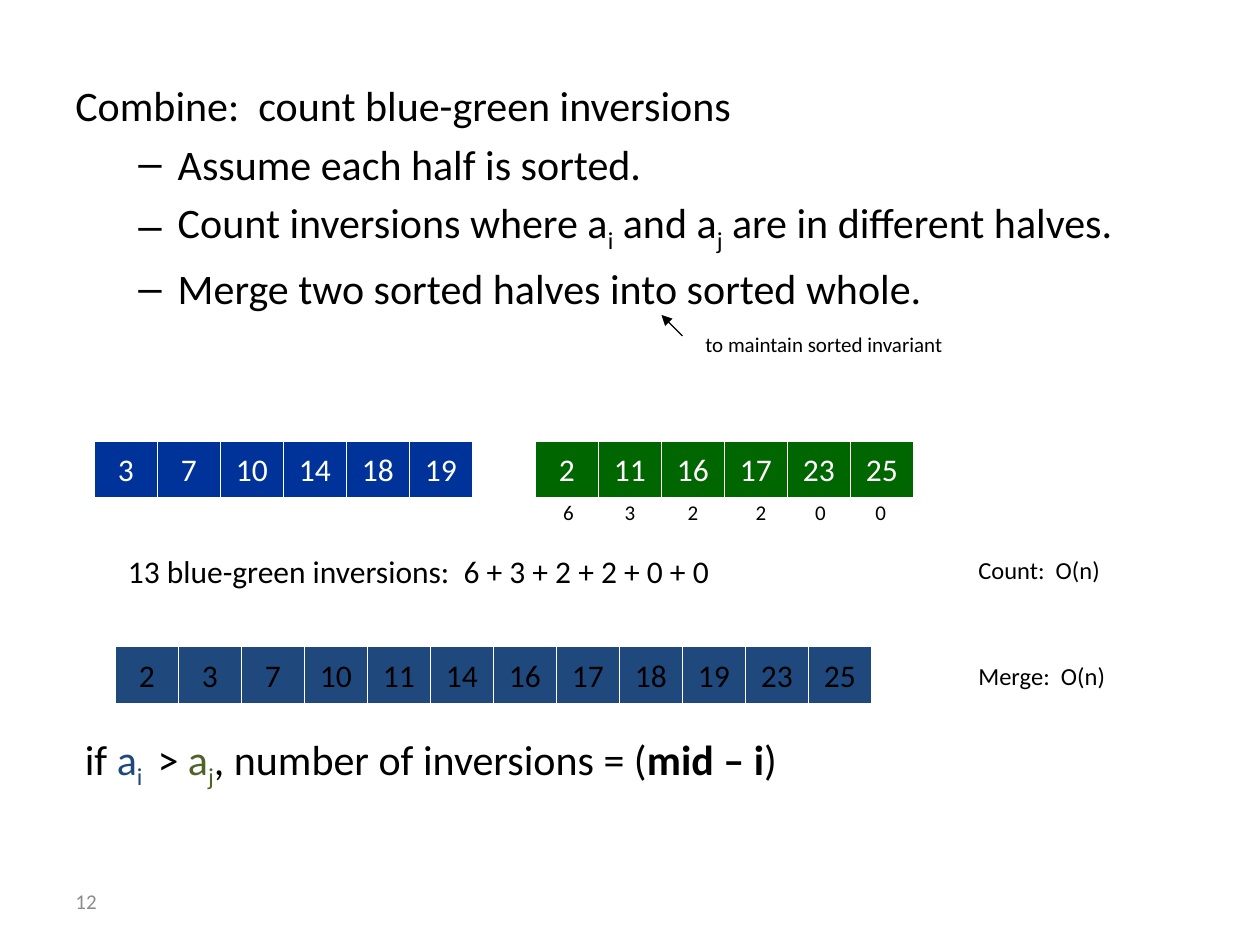
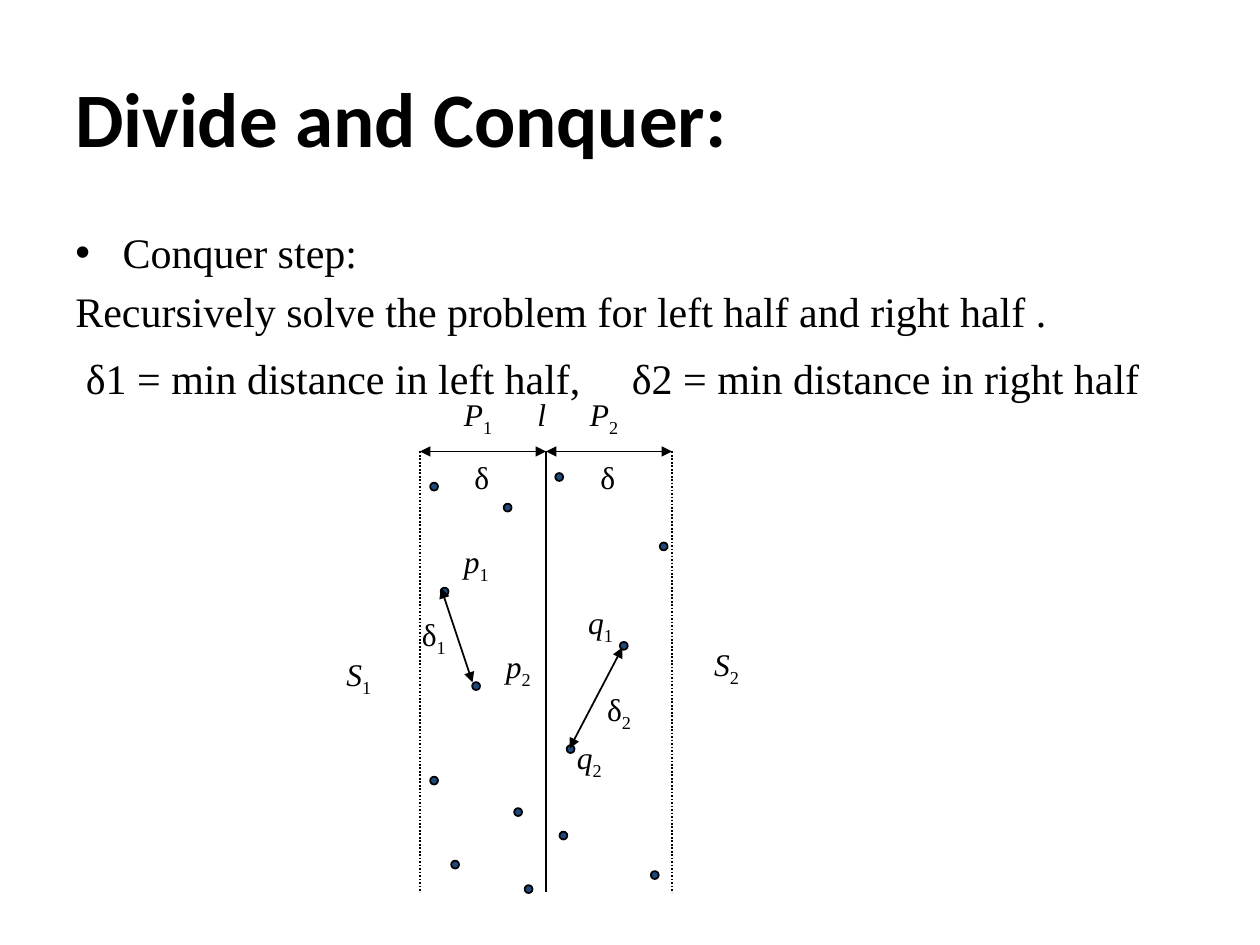
from lxml.etree import SubElement as Sub
from pptx import Presentation
from pptx.dml.color import RGBColor
from pptx.enum.dml import MSO_LINE as Dash
from pptx.enum.shapes import MSO_CONNECTOR as Conn, MSO_SHAPE as Kind
from pptx.enum.text import MSO_ANCHOR as Anchor, MSO_AUTO_SIZE as Auto, PP_ALIGN as Align
from pptx.oxml.ns import qn
from pptx.util import Pt

BLACK = RGBColor(0, 0, 0)
WHITE = RGBColor(255, 255, 255)
GRAY = RGBColor(0x8C, 0x8C, 0x8C)
BLUE = RGBColor(0x00, 0x33, 0x99)
GREEN = RGBColor(0x00, 0x66, 0x00)
NAVY = RGBColor(0x1F, 0x49, 0x7D)
OLIVE = RGBColor(0x4F, 0x62, 0x28)
SANS, SERIF = "Calibri", "Times New Roman"
LEFT, WIDE, GAP = 36, 648, 4.8
CELL, TALL, DOT = 36, 32.4, 4.5


def add_run(par, text, size, face=SANS, color=BLACK, bold=False, ital=False, sub=False):
    """Add one styled run to a paragraph."""
    run = par.add_run()
    run.text = text
    font = run.font
    font.size, font.name, font.bold, font.italic = Pt(size), face, bold, ital
    font.color.rgb = color
    if sub:
        font._element.set("baseline", "-25000")


def add_box(slide, x, y, wide, tall, wrap=True, anchor=Anchor.TOP):
    """Add an empty text box and return its text frame."""
    frame = slide.shapes.add_textbox(Pt(x), Pt(y), Pt(wide), Pt(tall)).text_frame
    frame.word_wrap = wrap
    frame.vertical_anchor = anchor
    frame.auto_size = Auto.NONE if wrap else Auto.SHAPE_TO_FIT_TEXT
    return frame


def add_text(slide, x, y, wide, tall, text, size, face=SANS, color=BLACK, bold=False,
             wrap=True, anchor=Anchor.MIDDLE, align=Align.LEFT):
    """Add a text box with a single run."""
    par = add_box(slide, x, y, wide, tall, wrap, anchor).paragraphs[0]
    par.alignment = align
    add_run(par, text, size, face, color, bold)


def add_bullet(par, mark, margin, hang):
    """Give a paragraph a hanging bullet."""
    props = par._p.get_or_add_pPr()
    props.set("marL", str(Pt(margin)))
    props.set("indent", str(-Pt(hang)))
    Sub(props, qn("a:buFont")).set("typeface", "Arial")
    Sub(props, qn("a:buChar")).set("char", mark)


def add_shape(slide, kind, x, y, wide, tall, fill, edge, width):
    """Add a filled and outlined shape."""
    shape = slide.shapes.add_shape(kind, Pt(x), Pt(y), Pt(wide), Pt(tall))
    shape.shadow.inherit = False
    shape.fill.solid()
    shape.fill.fore_color.rgb = fill
    shape.line.color.rgb = edge
    shape.line.width = Pt(width)
    return shape


def add_row(slide, x, y, values, fill, color):
    """Add a row of touching number cells."""
    for i, value in enumerate(values):
        cell = add_shape(slide, Kind.RECTANGLE, x + i * CELL, y, CELL, TALL, fill, WHITE, 0.75)
        frame = cell.text_frame
        frame.word_wrap = False
        frame.vertical_anchor = Anchor.MIDDLE
        frame.paragraphs[0].alignment = Align.CENTER
        add_run(frame.paragraphs[0], str(value), 18, color=color)


def add_line(slide, start, end, width=1, ends=(), dash=None):
    """Add a black line with optional arrowheads and dashes."""
    link = slide.shapes.add_connector(Conn.STRAIGHT, *map(Pt, start + end))
    link.line.color.rgb = BLACK
    link.line.width = Pt(width)
    if dash:
        link.line.dash_style = dash
    for name in ends:
        Sub(link.line._get_or_add_ln(), qn("a:" + name)).set("type", "triangle")
    Sub(link._element.spPr, qn("a:effectLst"))


def add_label(slide, x, y, name, index="", ital=True):
    """Add a serif symbol with an optional subscript."""
    par = add_box(slide, x, y, 34 if index else 23.5, 29, wrap=False).paragraphs[0]
    add_run(par, name, 18, SERIF, ital=ital)
    if index:
        add_run(par, index, 18, SERIF, sub=True)


def add_rules(slide):
    """Add the statement, its dashed points and the closing formula."""
    frame = add_box(slide, LEFT, 41.8, WIDE, 150)
    add_run(frame.paragraphs[0], "Combine:  count blue-green inversions", 24)
    points = (
        [("Assume each half is sorted.", False)],
        [("Count inversions where a", False), ("i", True), (" and a", False),
         ("j", True), (" are in different halves.", False)],
        [("Merge two sorted halves into sorted whole.", False)],
    )
    for point in points:
        par = frame.add_paragraph()
        par.space_before = Pt(GAP)
        add_bullet(par, "–", 58.5, 22.5)
        for text, sub in point:
            add_run(par, text, 24, sub=sub)
    par = add_box(slide, LEFT, 415.5, WIDE, 44).paragraphs[0]
    add_run(par, " if ", 24)
    add_run(par, "a", 24, color=NAVY)
    add_run(par, "i ", 24, color=NAVY, sub=True)
    add_run(par, " > ", 24)
    add_run(par, "a", 24, color=OLIVE)
    add_run(par, "j", 24, color=OLIVE, sub=True)
    add_run(par, ", number of inversions = (", 24)
    add_run(par, "mid – i", 24, bold=True)
    add_run(par, ")", 24)


def make_merge(slide):
    """Build the slide on counting and merging."""
    add_rules(slide)
    low, high = [3, 7, 10, 14, 18, 19], [2, 11, 16, 17, 23, 25]
    add_row(slide, 54, 252, low, BLUE, WHITE)
    add_row(slide, 306, 252, high, GREEN, WHITE)
    add_row(slide, 66, 369.5, sorted(low + high), NAVY, BLACK)
    for x, count in zip((314, 349.2, 385.2, 424, 458, 492.5), "632200"):
        add_text(slide, x, 281.8, 21.6, 21.6, count, 12, align=Align.CENTER, anchor=Anchor.TOP)
    add_text(slide, 66, 313.2, 444, 26.6, "13 blue-green inversions:  6 + 3 + 2 + 2 + 0 + 0", 18)
    add_text(slide, 552, 313.5, 132.5, 23.8, "Count:  O(n)", 14)
    add_text(slide, 552, 374.4, 132.5, 23.8, "Merge:  O(n)", 14)
    add_line(slide, (390, 192), (378, 180), 0.75, ["tailEnd"])
    add_text(slide, 396, 186, 170, 21.6, "to maintain sorted invariant", 12,
             wrap=False, anchor=Anchor.TOP)
    add_text(slide, LEFT, 500.4, 168, 28.8, "12", 12, color=GRAY)


def add_strip(slide):
    """Add the strip around the dividing line, with its points."""
    both = ["headEnd", "tailEnd"]
    left, mid, right, top, foot = 240, 312, 384, 258, 510
    for x, dash in ((left, Dash.ROUND_DOT), (mid, None), (right, Dash.ROUND_DOT)):
        add_line(slide, (x, top), (x, foot), dash=dash)
    dots = (
        (377, 310), (317.3, 270.3), (319.7, 475.2), (371.9, 497.8), (287.8, 287.8),
        (299.8, 505.8), (245.8, 275.8), (293.8, 461.8), (245.8, 443.8), (257.8, 491.8),
        (354.2, 366.8), (323.8, 425.8), (251.8, 335.8), (269.8, 389.8),
    )
    for x, y in dots:
        add_shape(slide, Kind.OVAL, x, y, DOT, DOT, NAVY, BLACK, 1)
    for start, end in (((left, top), (mid, top)), ((mid, top), (right, top)),
                       ((252, 336), (270, 390)), ((325.5, 427.7), (355.7, 370))):
        add_line(slide, start, end, ends=both)


def make_split(slide):
    """Build the slide on the conquer step."""
    add_text(slide, LEFT, 21.6, WIDE, 90, "Divide and Conquer:", 44, bold=True)
    frame = add_box(slide, LEFT, 126, WIDE, 72)
    par = frame.paragraphs[0]
    add_bullet(par, "•", 27, 27)
    add_run(par, "Conquer step:", 24, SERIF)
    par = frame.add_paragraph()
    par.space_before = Pt(GAP)
    add_run(par, "Recursively solve the problem for left half and right half .", 24, SERIF)
    for x, text in ((42, "δ1 = min distance in left half,"), (354, "δ2 = min distance in right half")):
        add_text(slide, x, 198, 320, 36, text, 24, SERIF, anchor=Anchor.TOP)
    add_strip(slide)
    for x, y, name, index in (
        (258, 222, "P", "1"), (300, 222, "l", ""), (330, 222, "P", "2"),
        (258, 306, "p", "1"), (282, 366, "p", "2"),
        (329, 341.3, "q", "1"), (322.5, 418.3, "q", "2"),
        (190.8, 370.8, "S", "1"), (401, 365, "S", "2"),
    ):
        add_label(slide, x, y, name, index)
    for x, y, index in ((264, 258, ""), (336, 258, ""), (234, 347.8, "1"), (339.8, 391, "2")):
        add_label(slide, x, y, "δ", index, ital=False)


def main():
    """Build and save the deck."""
    deck = Presentation()
    deck.slide_width, deck.slide_height = Pt(720), Pt(540)
    for make in (make_merge, make_split):
        make(deck.slides.add_slide(deck.slide_layouts[6]))
    deck.save("out.pptx")


main()
